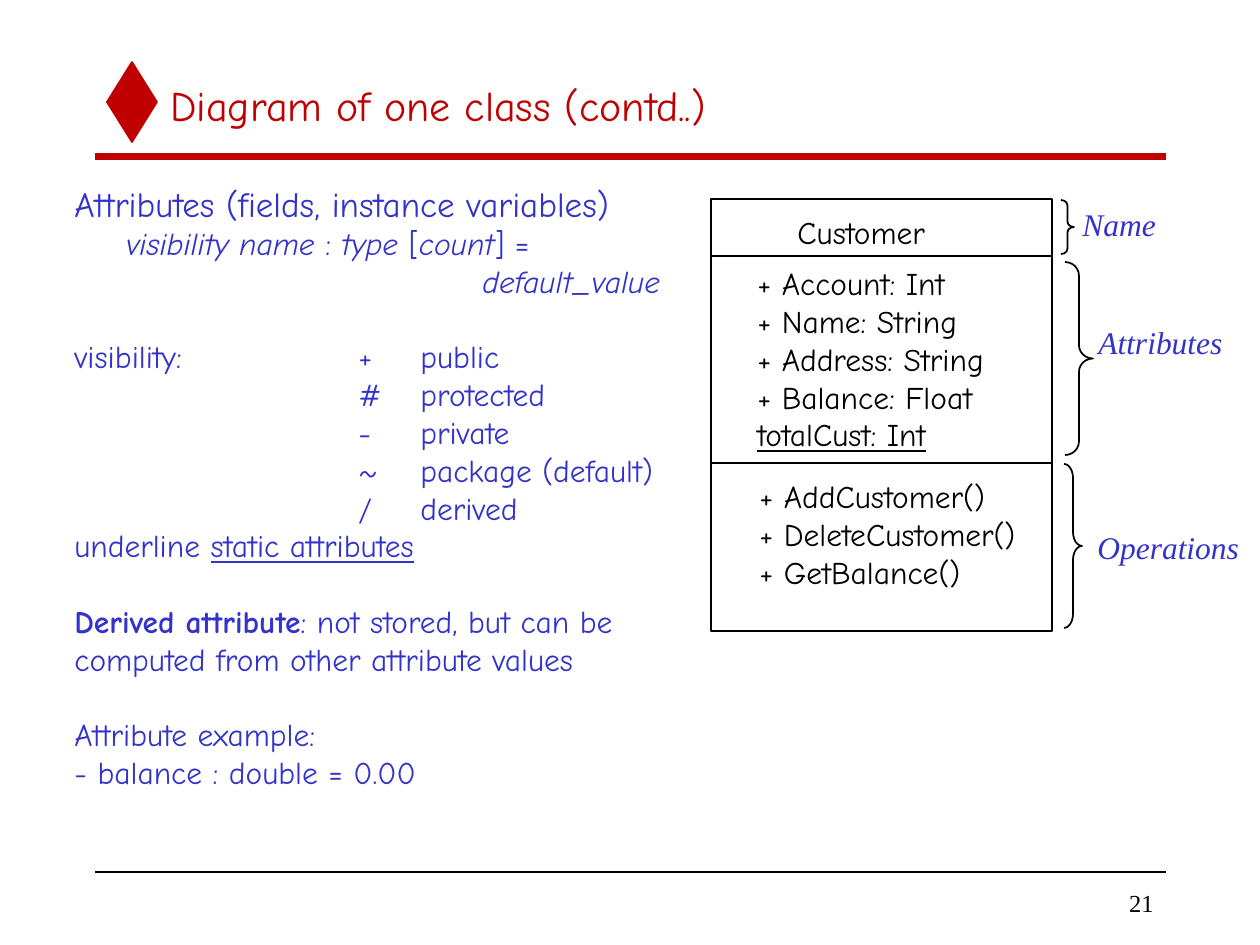
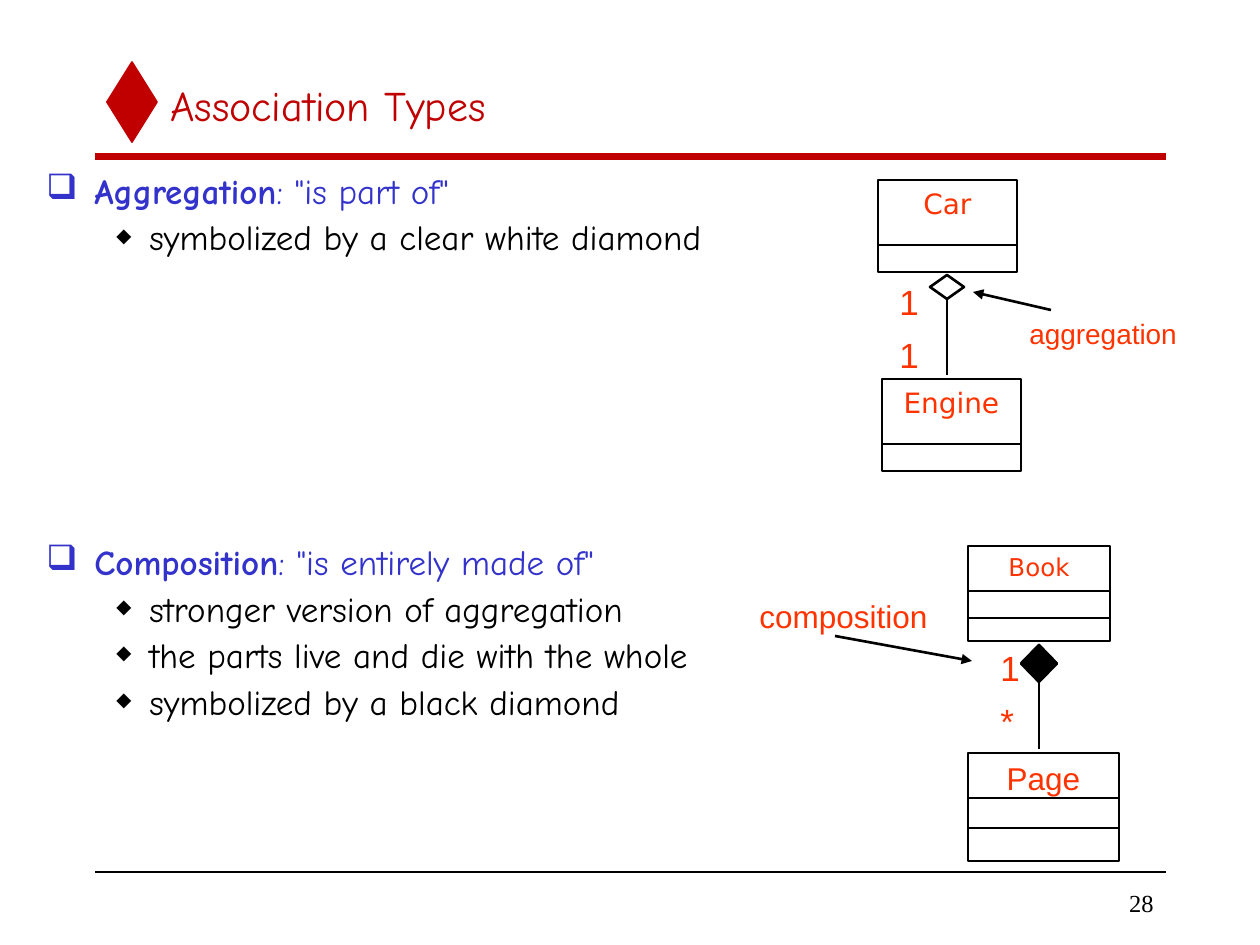
from lxml import etree
from pptx import Presentation
from pptx.dml.color import RGBColor
from pptx.enum.shapes import MSO_CONNECTOR, MSO_SHAPE
from pptx.enum.text import MSO_ANCHOR, PP_ALIGN
from pptx.oxml.ns import qn
from pptx.util import Emu, Pt

STRAIGHT = MSO_CONNECTOR.STRAIGHT
RECT, DIAMOND, BRACE = MSO_SHAPE.RECTANGLE, MSO_SHAPE.DIAMOND, MSO_SHAPE.RIGHT_BRACE
TOP, MIDDLE = MSO_ANCHOR.TOP, MSO_ANCHOR.MIDDLE
LEFT, CENTER, RIGHT = PP_ALIGN.LEFT, PP_ALIGN.CENTER, PP_ALIGN.RIGHT
BOTTOM_SITE = 2

PX_PER_INCH = 126
COLORS = {"red": "C00000", "blue": "3333CC", "orange": "FF3300", "black": "000000"}
COMIC, TIMES, ARIAL, DEJAVU = "Comic Neue", "Times New Roman", "Arial", "DejaVu Sans"


def px(n):
    return Emu(round(n * 914400 / PX_PER_INCH))


def rgb(name):
    return RGBColor.from_string(COLORS[name])


def format_run(r, size, color, font, style=""):
    """Style holds any of the letters b, i and u."""
    r.font.size = Pt(size)
    r.font.name = font
    r.font.color.rgb = rgb(color)
    r.font.bold = "b" in style
    r.font.italic = "i" in style
    r.font.underline = "u" in style


def add_runs(p, runs, size, color, font=COMIC):
    """Fill a paragraph from (text, style) pairs."""
    for text, style in runs:
        r = p.add_run()
        r.text = text
        format_run(r, size, color, font, style)


def add_text_frame(slide, box, anchor=TOP):
    tf = slide.shapes.add_textbox(*map(px, box)).text_frame
    tf.word_wrap = True
    tf.vertical_anchor = anchor
    return tf


def add_text(slide, box, text, size, color, font=COMIC, style="",
             align=LEFT, anchor=TOP):
    tf = add_text_frame(slide, box, anchor)
    tf.text = text
    for p in tf.paragraphs:
        p.alignment = align
        for r in p.runs:
            format_run(r, size, color, font, style)
    return tf


def add_shape(slide, kind, box, fill=None, line="black", width=1.5):
    sp = slide.shapes.add_shape(kind, *map(px, box))
    sp.shadow.inherit = False
    if fill:
        sp.fill.solid()
        sp.fill.fore_color.rgb = rgb(fill)
    else:
        sp.fill.background()
    sp.line.color.rgb = rgb(line)
    sp.line.width = Pt(width)
    return sp


def add_line(slide, x1, y1, x2, y2, color="black", width=1.5, arrow=False):
    line = slide.shapes.add_connector(STRAIGHT, px(x1), px(y1), px(x2), px(y2))
    line.line.color.rgb = rgb(color)
    line.line.width = Pt(width)
    sp_pr = line._element.spPr
    if arrow:
        ln = sp_pr.find(qn("a:ln"))
        etree.SubElement(ln, qn("a:tailEnd"), type="triangle")
    etree.SubElement(sp_pr, qn("a:effectLst"))
    return line


def add_class_box(slide, box, dividers, name="", size=16, font=DEJAVU, width=1.5):
    """Draw a UML class; dividers are offsets from its top edge."""
    x, y, w, _ = box
    sp = add_shape(slide, RECT, box, width=width)
    if name:
        tf = sp.text_frame
        tf.text = name
        tf.vertical_anchor = TOP
        p = tf.paragraphs[0]
        p.alignment = CENTER
        format_run(p.runs[0], size, "orange", font)
    for offset in dividers:
        add_line(slide, x, y + offset, x + w, y + offset, width=width)


def add_brace(slide, box, curve):
    sp = add_shape(slide, BRACE, box, width=1)
    sp.adjustments[0] = curve


def add_link(slide, diamond_box, end_y, fill=None):
    """Draw a diamond and the line that runs down from it."""
    x, y, w, h = diamond_box
    diamond = add_shape(slide, DIAMOND, diamond_box, fill)
    line = add_line(slide, x + w // 2, y + h, x + w // 2, end_y)
    line.begin_connect(diamond, BOTTOM_SITE)


def set_indent(p, left, hanging=0):
    p_pr = p._p.get_or_add_pPr()
    p_pr.set("marL", str(px(left)))
    p_pr.set("indent", str(-px(hanging)))
    return p_pr


def set_tabs(p, stops):
    tab_list = etree.SubElement(p._p.get_or_add_pPr(), qn("a:tabLst"))
    for stop in stops:
        etree.SubElement(tab_list, qn("a:tab"), pos=str(px(stop)), algn="l")


def set_bullet(p, char, color, percent, left, hanging):
    p_pr = set_indent(p, left, hanging)
    clr = etree.SubElement(p_pr, qn("a:buClr"))
    etree.SubElement(clr, qn("a:srgbClr"), val=COLORS[color])
    etree.SubElement(p_pr, qn("a:buSzPct"), val=str(percent * 1000))
    etree.SubElement(p_pr, qn("a:buChar"), char=char)


def next_paragraph(tf):
    first = tf.paragraphs[0]
    return tf.add_paragraph() if first.runs else first


def add_slide(prs, title, number):
    """Start a slide with the shared title, rules and page number."""
    slide = prs.slides.add_slide(prs.slide_layouts[6])
    add_shape(slide, DIAMOND, (107, 62, 50, 80), "red", "red", 1)
    add_line(slide, 95, 157, 1166, 157, "red", 4)
    add_line(slide, 95, 872, 1166, 872, width=1)
    add_text(slide, (158, 63, 1008, 84), title, 24, "red", anchor=MIDDLE)
    add_text(slide, (987, 882, 179, 42), number, 14, "black", TIMES,
             align=RIGHT, anchor=MIDDLE)
    return slide


def add_attribute_notes(slide):
    blank = 21.5
    notes = [  # runs, size, indent, space before
        ([("Attributes (fields, instance variables)", "")], 20, 0, 0),
        ([("visibility name", "i"), (" : ", ""), ("type", "i"), (" [", ""),
          ("count", "i"), ("] =", "")], 18, 52, 0),
        ([("default_value", "i")], 18, 408, 0),
        ([("visibility:\t+\tpublic", "")], 18, 0, blank),
        ([("\t#\tprotected", "")], 18, 0, 0),
        ([("\t-\tprivate", "")], 18, 0, 0),
        ([("\t~\tpackage (default)", "")], 18, 0, 0),
        ([("\t/\tderived", "")], 18, 0, 0),
        ([("underline ", ""), ("static attributes", "u")], 18, 0, 0),
        ([("Derived attribute", "b"),
          (": not stored, but can be computed from other attribute values", "")],
         18, 0, blank),
        ([("Attribute example:", "")], 18, 0, blank),
        ([("- balance : double = 0.00", "")], 18, 0, 0),
    ]
    tf = add_text_frame(slide, (62, 176, 630, 660))
    for runs, size, indent, before in notes:
        p = next_paragraph(tf)
        add_runs(p, runs, size, "blue")
        p.space_before = Pt(before)
        # LibreOffice drops tab stops from a paragraph that sets its own indent
        if indent:
            set_indent(p, indent)
        else:
            set_tabs(p, (284, 346))


def add_customer_class(slide):
    add_class_box(slide, (711, 199, 341, 432), (57, 264), width=1)
    attributes = ("+ Account: Int\n+ Name: String\n+ Address: String\n"
                  "+ Balance: Float\ntotalCust: Int")
    operations = "+ AddCustomer()\n+ DeleteCustomer()\n+ GetBalance()"
    add_text(slide, (785, 207, 164, 50), "Customer", 18, "black")
    tf = add_text(slide, (745, 258, 264, 202), attributes, 18, "black")
    tf.paragraphs[-1].runs[0].font.underline = True
    add_text(slide, (747, 471, 294, 126), operations, 18, "black")

    sections = [  # label, label box, brace box, brace curve
        ("Name", (1070, 199, 115, 50), (1061, 200, 13, 54), 0.4),
        ("Attributes", (1086, 317, 165, 50), (1065, 262, 28, 193), 0.48),
        ("Operations", (1085, 522, 175, 50), (1064, 464, 18, 164), 0.78),
    ]
    for label, label_box, brace_box, curve in sections:
        add_brace(slide, brace_box, curve)
        add_text(slide, label_box, label, 18, "blue", TIMES, "i")


def add_association_notes(slide):
    topics = [  # term, meaning, points, space before
        ("Aggregation", ': "is part of"',
         ["symbolized by a clear white diamond"], 5),
        ("Composition", ': "is entirely made of"',
         ["stronger version of aggregation",
          "the parts live and die with the whole",
          "symbolized by a black diamond"], 164),
    ]
    tf = add_text_frame(slide, (34, 168, 882, 766))

    def add_item(runs, color, before, bullet):
        p = next_paragraph(tf)
        add_runs(p, runs, 20, color)
        p.line_spacing = 0.9
        p.space_before = Pt(before)
        set_bullet(p, *bullet)

    for term, meaning, points, before in topics:
        add_item([(term, "b"), (meaning, "")], "blue", before,
                 ("❑", "blue", 100, 48, 48))
        for point in points:
            add_item([(point, "")], "black", 5, ("◆", "black", 56, 103, 33))


def add_multiplicities(slide, x, y, marks):
    for i, mark in enumerate(marks):
        add_text(slide, (x, y + 53 * i, 50, 55), mark, 20, "orange", ARIAL)


def add_aggregation(slide):
    add_class_box(slide, (878, 180, 139, 92), (65,), "Car")
    add_class_box(slide, (882, 379, 139, 92), (65,), "Engine")
    add_link(slide, (930, 275, 34, 24), 375)
    add_multiplicities(slide, 887, 274, "11")
    add_text(slide, (1017, 310, 192, 47), "aggregation", 16, "orange", ARIAL)
    add_line(slide, 1051, 310, 973, 292, arrow=True)


def add_composition(slide):
    add_class_box(slide, (968, 546, 142, 95), (45, 72), "Book", 14)
    add_class_box(slide, (968, 753, 151, 108), (45, 75), "Page", 18, ARIAL)
    add_link(slide, (1021, 645, 36, 37), 749, "black")
    add_multiplicities(slide, 988, 640, "1*")
    add_text(slide, (747, 591, 195, 50), "composition", 18, "orange", ARIAL)
    add_line(slide, 835, 636, 972, 661, arrow=True)


def main():
    prs = Presentation()
    prs.slide_width, prs.slide_height = px(1260), px(945)

    class_slide = add_slide(prs, "Diagram of one class (contd..)", "21")
    add_customer_class(class_slide)
    add_attribute_notes(class_slide)

    association_slide = add_slide(prs, "Association Types", "28")
    add_association_notes(association_slide)
    add_composition(association_slide)
    add_aggregation(association_slide)

    prs.save("out.pptx")


if __name__ == "__main__":
    main()
